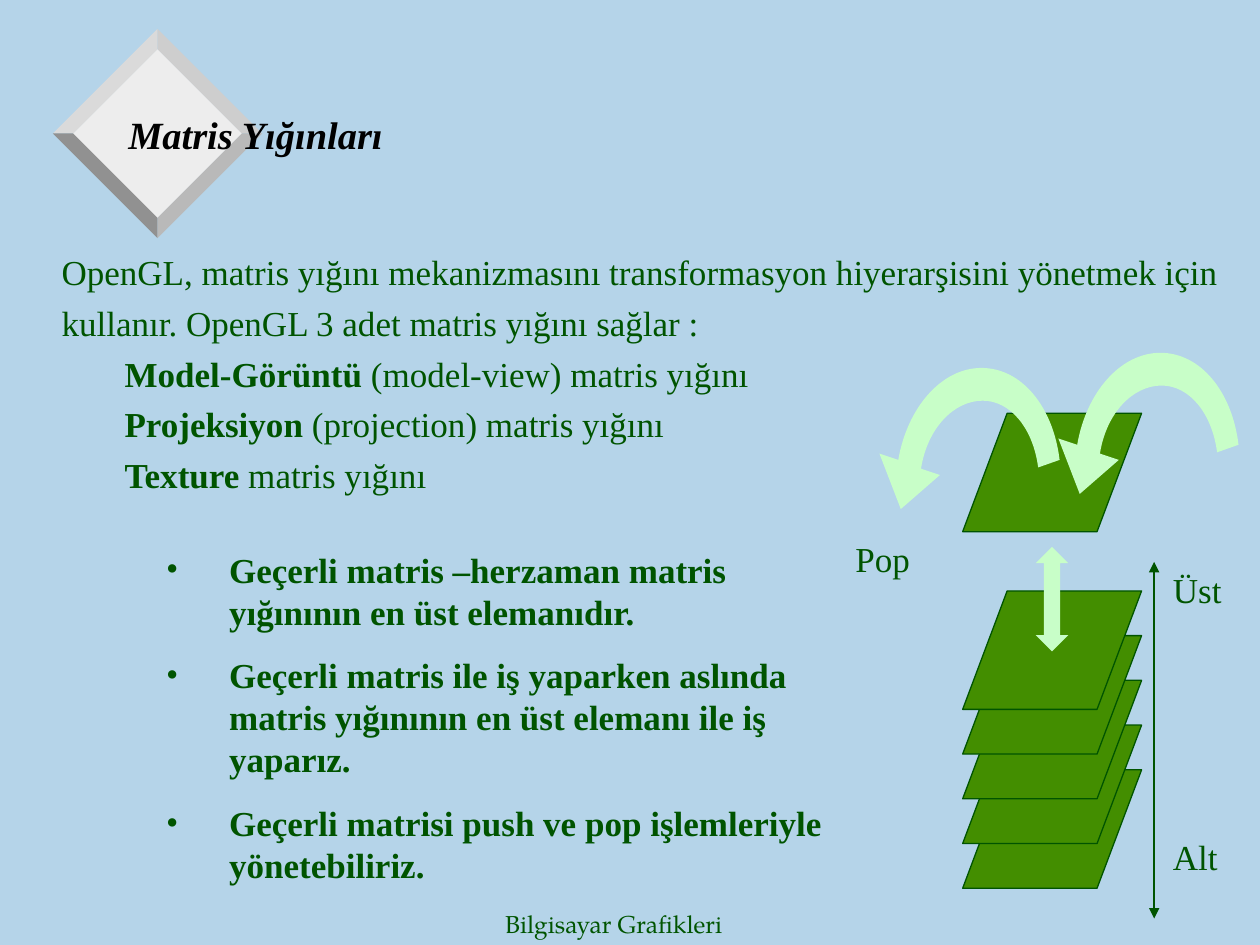
from lxml import etree
from pptx import Presentation
from pptx.dml.color import RGBColor
from pptx.enum import shapes, text
from pptx.oxml.ns import qn
from pptx.util import Inches, Pt

SKY, DARK, GREEN, MINT, BLACK = "B5D4E9", "005400", "438E00", "C8FEC8", "000000"
SERIF, FOOTER_FONT = "Times New Roman", "TeX Gyre Pagella"

INTRO = [
    "OpenGL, matris yığını mekanizmasını transformasyon hiyerarşisini yönetmek için",
    "kullanır. OpenGL 3 adet matris yığını sağlar :",
]
STACK_KINDS = [
    ("Model-Görüntü", " (model-view) matris yığını"),
    ("Projeksiyon", " (projection) matris yığını"),
    ("Texture", " matris yığını"),
]
RULES = [
    "Geçerli matris –herzaman matris yığınının en üst elemanıdır.",
    "Geçerli matris ile iş yaparken aslında matris yığınının en üst elemanı ile iş yaparız.",
    "Geçerli matrisi push ve pop işlemleriyle yönetebiliriz.",
]
LABELS = [("Üst", 9.21, 4.46, 0.79), ("Alt", 9.21, 6.58, 0.79), ("Pop", 6.69, 4.22, 0.89)]

# Diamond: centre, outer and inner half-diagonals, bevel colour per quadrant
DIAMOND = (1.25, 1.06, 0.83, 0.67)
DIAMOND_FACE = "EDEDED"
BEVELS = [(1, -1, "CECECE"), (-1, -1, "DADADA"), (1, 1, "B9B9B9"), (-1, 1, "919191")]

# Curved pop arrow: points are line ends, six numbers are a Bezier segment
CURVED_ARROW = [
    (7.31, 3.72),
    (7.36, 3.4, 7.57, 3.18, 7.8, 3.18),
    (8.02, 3.18, 8.2, 3.4, 8.24, 3.71),
    (8.41, 3.65),
    (8.36, 3.23, 8.11, 2.92, 7.79, 2.92),
    (7.47, 2.92, 7.2, 3.24, 7.13, 3.65),
    (6.98, 3.6), (7.15, 4.04), (7.46, 3.77),
]
CURVED_OFFSETS = [(0, 0), (1.42, -0.12)]
SHEET_LEFT, SHEET_TOP, SHEET_STEP, SHEET_COUNT = 7.64, 4.69, 0.355, 5
LIFTED_SHEET_TOP = 3.28


def rgb(value):
    return RGBColor.from_string(value)


def paint(shape, fill, line=None):
    shape.shadow.inherit = False
    shape.fill.solid()
    shape.fill.fore_color.rgb = rgb(fill)
    if line:
        shape.line.color.rgb = rgb(line)
        shape.line.width = Pt(0.75)
    else:
        shape.line.fill.background()


def add_outline(slide, parts, fill, dx=0, dy=0):
    """Draw a closed outline; parts of six numbers become Bezier segments."""
    ends = [(Inches(part[-2] + dx), Inches(part[-1] + dy)) for part in parts]
    builder = slide.shapes.build_freeform(*ends[0])
    builder.add_line_segments(ends[1:], close=True)
    shape = builder.convert_to_shape()
    segments = list(shape._element.iter(qn("a:lnTo")))
    for part, segment in zip(parts[1:], segments):
        if len(part) == 6:
            segment.tag = qn("a:cubicBezTo")
            for position, i in enumerate((0, 2)):
                control = etree.Element(qn("a:pt"),
                                        x=str(Inches(part[i] + dx) - shape.left),
                                        y=str(Inches(part[i + 1] + dy) - shape.top))
                segment.insert(position, control)
    paint(shape, fill)


def add_preset(slide, kind, box, adjustments, fill, line=None):
    shape = slide.shapes.add_shape(kind, *map(Inches, box))
    for index, value in enumerate(adjustments):
        shape.adjustments[index] = value
    paint(shape, fill, line)


def add_bullet(props, mark):
    color = etree.SubElement(props, qn("a:buClr"))
    etree.SubElement(color, qn("a:srgbClr"), val=DARK)
    etree.SubElement(props, qn("a:buFont"), typeface=SERIF)
    etree.SubElement(props, qn("a:buChar"), char=mark)


def add_text(slide, box, paragraphs, size=20, font=SERIF, color=DARK, bold=False,
             italic=False, middle=False, wrap=True, before=0, indents=None, bullet=None):
    """Each paragraph is a list of (text, bold) runs or a plain string."""
    frame = slide.shapes.add_textbox(*map(Inches, box)).text_frame
    frame.word_wrap = wrap
    frame.vertical_anchor = text.MSO_ANCHOR.MIDDLE if middle else text.MSO_ANCHOR.TOP
    for index, content in enumerate(paragraphs):
        paragraph = frame.paragraphs[0] if index == 0 else frame.add_paragraph()
        if index and before:
            paragraph.space_before = Pt(before)
        props = paragraph._p.get_or_add_pPr()
        if indents:
            left, hanging = indents[index]
            props.set("marL", str(Inches(left)))
            props.set("indent", str(-Inches(hanging)))
        if bullet:
            add_bullet(props, bullet)
        runs = [(content, bold)] if isinstance(content, str) else content
        for words, run_bold in runs:
            run = paragraph.add_run()
            run.text = words
            run.font.size, run.font.name = Pt(size), font
            run.font.bold, run.font.italic = run_bold, italic
            run.font.color.rgb = rgb(color)
            run._r.get_or_add_rPr().set("kern", "0")


def add_double_arrow(slide, x, top, bottom):
    arrow = slide.shapes.add_connector(shapes.MSO_CONNECTOR.STRAIGHT, Inches(x),
                                       Inches(top), Inches(x), Inches(bottom))
    arrow.line.color.rgb = rgb(DARK)
    arrow.line.width = Pt(0.75)
    line = arrow.line._get_or_add_ln()
    for end in ("a:headEnd", "a:tailEnd"):
        etree.SubElement(line, qn(end), type="triangle")
    etree.SubElement(arrow._element.spPr, qn("a:effectLst"))


def add_diamond(slide):
    x, y, outer, inner = DIAMOND
    add_outline(slide, [(x, y - inner), (x - inner, y), (x, y + inner), (x + inner, y)],
                DIAMOND_FACE)
    for sx, sy, shade in BEVELS:
        add_outline(slide, [(x, y + sy * inner), (x, y + sy * outer),
                            (x + sx * outer, y), (x + sx * inner, y)], shade)


def add_stack(slide):
    tops = [SHEET_TOP + SHEET_STEP * i for i in reversed(range(SHEET_COUNT))]
    for top in tops + [LIFTED_SHEET_TOP]:
        add_preset(slide, shapes.MSO_SHAPE.PARALLELOGRAM, (SHEET_LEFT, top, 1.42, 0.94),
                   [0.376], GREEN, DARK)
    add_preset(slide, shapes.MSO_SHAPE.UP_DOWN_ARROW, (8.22, 4.34, 0.26, 0.83),
               [0.627, 0.5], MINT)
    for dx, dy in CURVED_OFFSETS:
        add_outline(slide, CURVED_ARROW, MINT, dx, dy)


def main():
    deck = Presentation()
    deck.slide_width, deck.slide_height = Inches(10), Inches(7.5)
    slide = deck.slides.add_slide(deck.slide_layouts[6])
    slide.background.fill.solid()
    slide.background.fill.fore_color.rgb = rgb(SKY)

    add_diamond(slide)
    add_text(slide, (3.91, 7.17, 2.08, 0.33), ["Bilgisayar Grafikleri"], size=14,
             font=FOOTER_FONT, middle=True, wrap=False)
    add_text(slide, (0.92, 0.46, 8.5, 1.21), ["Matris Yığınları"], size=22,
             color=BLACK, bold=True, italic=True, middle=True)
    kinds = [[(name, True), (rest, False)] for name, rest in STACK_KINDS]
    add_text(slide, (0.39, 1.94, 9.41, 2.05), INTRO + kinds, before=5,
             indents=[(0.38, 0.38)] * len(INTRO) + [(0.81, 0.31)] * len(kinds))
    add_double_arrow(slide, 9.16, 4.46, 7.29)
    add_stack(slide)
    for label, left, top, width in LABELS:
        add_text(slide, (left, top, width, 0.44), [label])
    add_text(slide, (1.22, 4.3, 5.43, 2.78), RULES, bold=True, before=12.5,
             indents=[(0.5, 0.5)] * len(RULES), bullet="•")
    deck.save("out.pptx")


if __name__ == "__main__":
    main()
